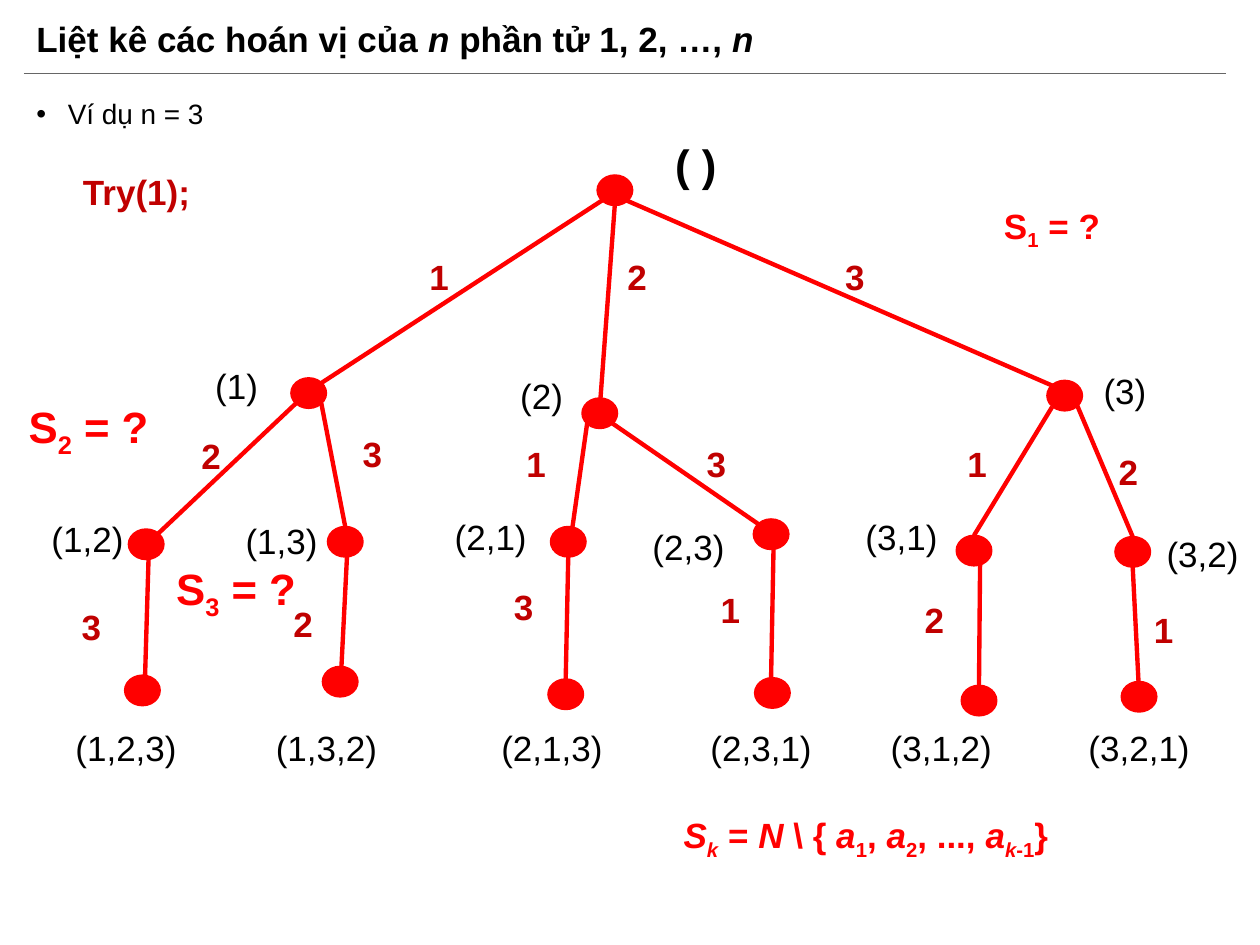
from dataclasses import dataclass

from lxml import etree
from pptx import Presentation
from pptx.dml.color import RGBColor
from pptx.enum.shapes import MSO_CONNECTOR, MSO_SHAPE
from pptx.enum.text import MSO_ANCHOR, PP_ALIGN
from pptx.oxml.ns import qn
from pptx.util import Inches, Pt

STRAIGHT, OVAL = MSO_CONNECTOR.STRAIGHT, MSO_SHAPE.OVAL
MIDDLE, TOP = MSO_ANCHOR.MIDDLE, MSO_ANCHOR.TOP
LEFT, JUSTIFY = PP_ALIGN.LEFT, PP_ALIGN.JUSTIFY


@dataclass(frozen=True)
class Theme:
    font: str = "Arial"
    ink: str = "000000"
    tree: str = "FF0000"
    branch: str = "C00000"
    rule: str = "666666"
    large: int = 25
    normal: int = 20
    small: int = 16
    edge: float = 2.5
    outline: float = 1
    hairline: float = 0.5


THEME = Theme()
SLIDE_W, SLIDE_H = 10, 7.5
NODE_W, NODE_H = 0.28, 0.24
LABEL_W, BRANCH_W, SET_W = 1.19, 0.72, 1.5
LINE_H, LARGE_LINE_H = 0.44, 0.52
LEAF_LABEL_Y = 5.72
MARGIN, CONTENT_W, RULE_Y = 0.19, 9.54, 0.58

# Runs are (text, style): "i" is italic, "_" is subscript.
TITLE = [("Liệt kê các hoán vị của ", ""), ("n ", "i"),
         ("phần tử 1, 2, …, ", ""), ("n", "i")]
EXAMPLE = [("Ví dụ n = 3", "")]
CALL = [("Try(1);", "")]
FORMULA = [(" S", "i"), ("k", "i_"), (" = ", ""), ("N", "i"), (" \\ {", ""),
           (" a", "i"), ("1", "_"), (", ", ""), ("a", "i"), ("2", "_"),
           (", ..., ", ""), ("a", "i"), ("k", "i_"), ("-1", "_"), ("}", "")]

# Candidate sets: index, left, top, height, size
CANDIDATE_SETS = [
    ("1", 7.87, 1.57, LINE_H, THEME.normal),
    ("2", 0.13, 3.12, LARGE_LINE_H, THEME.large),
    ("3", 1.30, 4.41, LARGE_LINE_H, THEME.large),
]

ROOT_NODE, ROOT_LABEL = (4.74, 1.39), (5.26, 1.04)

# Partial permutation: node, its label, branch number, edge start, edge end
BRANCHES = {
    "1": ((2.31, 3.00), (1.61, 2.84), (3.31, 1.98), (4.78, 1.59), (2.55, 3.04)),
    "2": ((4.62, 3.16), (4.03, 2.92), (4.88, 1.98), (4.88, 1.62), (4.76, 3.24)),
    "3": ((8.31, 3.02), (8.66, 2.88), (6.61, 1.98), (4.97, 1.59), (8.35, 3.06)),
    "12": ((1.02, 4.20), (0.31, 4.06), (1.50, 3.40), (2.35, 3.20), (1.25, 4.24)),
    "13": ((2.60, 4.18), (1.85, 4.07), (2.78, 3.38), (2.55, 3.20), (2.74, 4.18)),
    "21": ((4.37, 4.18), (3.51, 4.04), (4.08, 3.46), (4.66, 3.36), (4.51, 4.42)),
    "23": ((5.98, 4.12), (5.08, 4.12), (5.51, 3.46), (4.86, 3.36), (6.02, 4.16)),
    "31": ((7.59, 4.25), (6.77, 4.04), (7.58, 3.46), (8.35, 3.23), (7.73, 4.25)),
    "32": ((8.85, 4.26), (9.16, 4.18), (8.78, 3.53), (8.47, 3.03), (8.99, 4.26)),
    "123": ((0.99, 5.36), (0.50, LEAF_LABEL_Y), (0.55, 4.76), (1.18, 4.40), (1.15, 5.41)),
    "132": ((2.56, 5.29), (2.09, LEAF_LABEL_Y), (2.23, 4.73), (2.76, 4.30), (2.71, 5.29)),
    "213": ((4.35, 5.39), (3.88, LEAF_LABEL_Y), (3.98, 4.60), (4.51, 4.42), (4.49, 5.39)),
    "231": ((5.99, 5.38), (5.54, LEAF_LABEL_Y), (5.62, 4.62), (6.14, 4.32), (6.12, 5.38)),
    "312": ((7.63, 5.44), (6.97, LEAF_LABEL_Y), (7.24, 4.70), (7.78, 4.32), (7.77, 5.44)),
    "321": ((8.90, 5.41), (8.54, LEAF_LABEL_Y), (9.06, 4.78), (8.99, 4.50), (9.04, 5.49)),
}


def rgb(value):
    return RGBColor.from_string(value)


def add_text(slide, runs, at, width, height=LINE_H, *, size=THEME.normal,
             color=THEME.ink, bold=False, anchor=TOP, align=LEFT,
             spacing=1.0, wrap=True, bullet=None):
    box = slide.shapes.add_textbox(*map(Inches, (*at, width, height)))
    frame = box.text_frame
    frame.word_wrap, frame.vertical_anchor = wrap, anchor
    paragraph = frame.paragraphs[0]
    paragraph.alignment, paragraph.line_spacing = align, spacing
    if bullet:
        properties = paragraph._p.get_or_add_pPr()
        properties.set("marL", str(Inches(0.25)))
        properties.set("indent", str(-Inches(0.25)))
        etree.SubElement(properties, qn("a:buFont")).set("typeface", THEME.font)
        etree.SubElement(properties, qn("a:buChar")).set("char", bullet)
    for text, style in runs:
        run = paragraph.add_run()
        run.text = text
        font = run.font
        font.name, font.size, font.bold = THEME.font, Pt(size), bold
        font.italic = "i" in style
        font.color.rgb = rgb(color)
        if "_" in style:
            run._r.get_or_add_rPr().set("baseline", "-25000")


def add_line(slide, start, end, color, weight):
    line = slide.shapes.add_connector(STRAIGHT, *map(Inches, (*start, *end)))
    line.line.color.rgb = rgb(color)
    line.line.width = Pt(weight)
    etree.SubElement(line._element.spPr, qn("a:effectLst"))


def add_node(slide, at):
    node = slide.shapes.add_shape(OVAL, *map(Inches, (*at, NODE_W, NODE_H)))
    node.shadow.inherit = False
    node.fill.solid()
    node.fill.fore_color.rgb = rgb(THEME.tree)
    node.line.color.rgb = rgb(THEME.tree)
    node.line.width = Pt(THEME.outline)


def add_tree(slide):
    add_node(slide, ROOT_NODE)
    add_text(slide, [("( )", "")], ROOT_LABEL, BRANCH_W, LARGE_LINE_H,
             size=THEME.large, bold=True)
    for chosen, (node, label, number, start, end) in BRANCHES.items():
        add_line(slide, start, end, THEME.tree, THEME.edge)
        add_node(slide, node)
        add_text(slide, [(f"({','.join(chosen)})", "")], label, LABEL_W)
        add_text(slide, [(chosen[-1], "")], number, BRANCH_W,
                 color=THEME.branch, bold=True)


def main():
    deck = Presentation()
    deck.slide_width, deck.slide_height = Inches(SLIDE_W), Inches(SLIDE_H)
    slide = deck.slides.add_slide(deck.slide_layouts[6])

    add_text(slide, TITLE, (MARGIN, 0.08), 8.62, 0.5, bold=True,
             anchor=MIDDLE, spacing=0.9)
    add_line(slide, (MARGIN, RULE_Y), (MARGIN + CONTENT_W, RULE_Y),
             THEME.rule, THEME.hairline)
    add_text(slide, EXAMPLE, (MARGIN, 0.75), CONTENT_W, 6.01,
             size=THEME.small, spacing=0.9, bullet="•")
    add_tree(slide)
    add_text(slide, CALL, (0.56, 1.37), 1.05, 0.37, color=THEME.branch,
             bold=True, align=JUSTIFY, spacing=0.8, wrap=False)
    add_text(slide, FORMULA, (5.25, 6.41), 3.26, color=THEME.tree,
             bold=True, wrap=False)
    for index, left, top, height, size in CANDIDATE_SETS:
        add_text(slide, [("S", ""), (index, "_"), (" = ?", "")], (left, top),
                 SET_W, height, size=size, color=THEME.tree, bold=True)

    deck.save("out.pptx")


if __name__ == "__main__":
    main()
